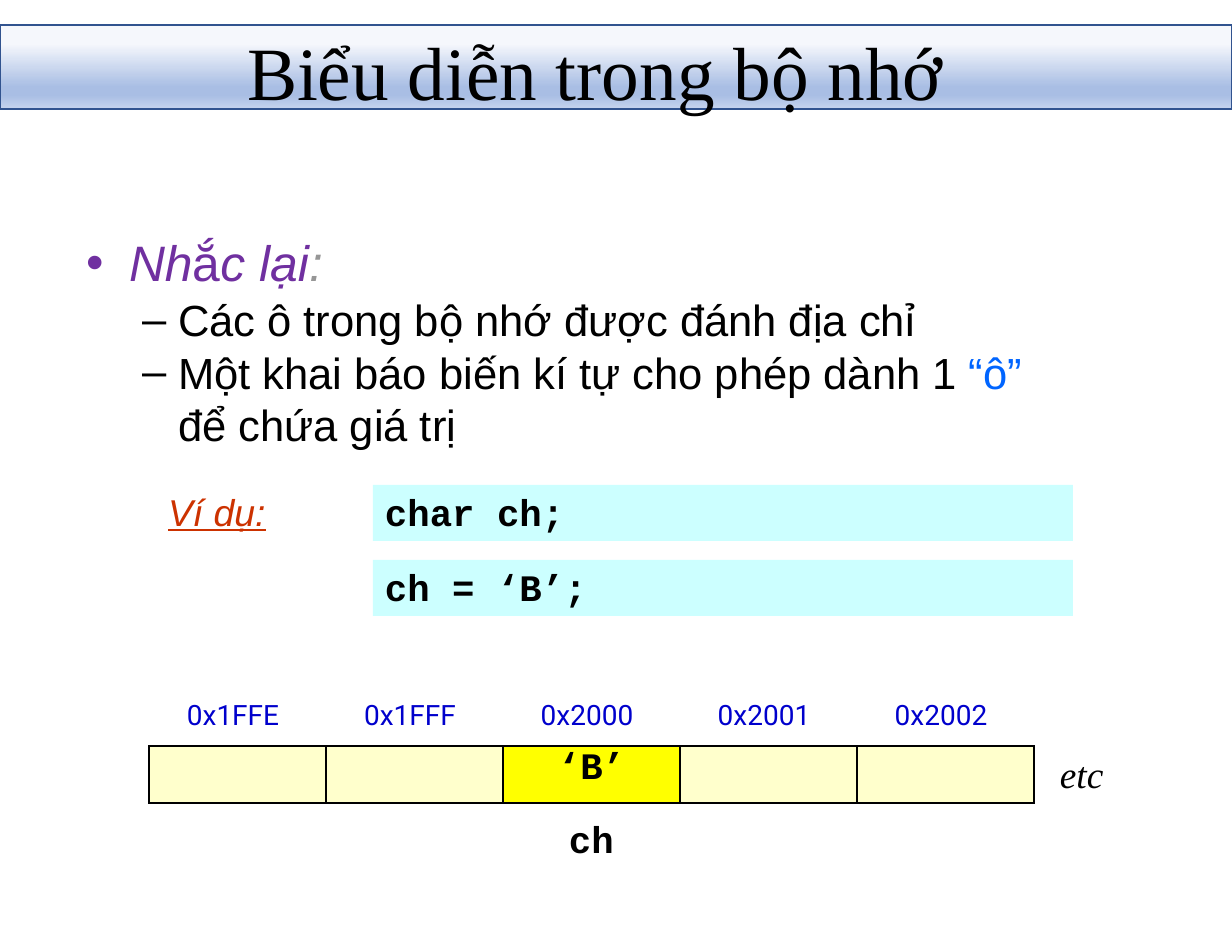
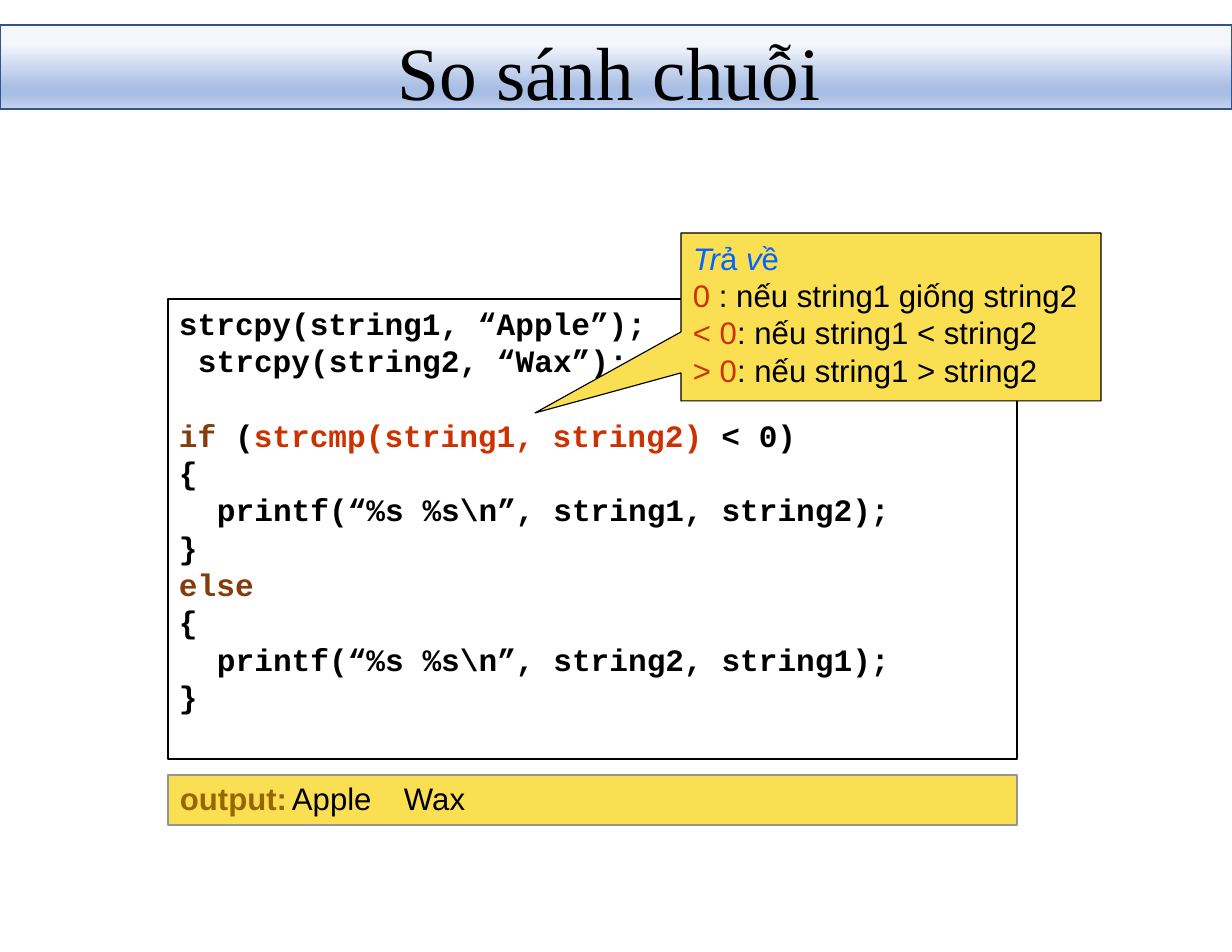
from lxml import etree
from pptx import Presentation
from pptx.dml.color import RGBColor
from pptx.enum.shapes import MSO_SHAPE
from pptx.enum.text import MSO_ANCHOR, PP_ALIGN
from pptx.oxml.ns import qn
from pptx.util import Emu, Pt

RECTANGLE = MSO_SHAPE.RECTANGLE
TOP, MIDDLE = MSO_ANCHOR.TOP, MSO_ANCHOR.MIDDLE
LEFT, CENTER = PP_ALIGN.LEFT, PP_ALIGN.CENTER

# Scale: 112 px to the inch
SCALE = 914400 / 112

# Colours
BLACK = RGBColor(0x00, 0x00, 0x00)
BAND_LINE = RGBColor(0x31, 0x53, 0x8F)
PURPLE = RGBColor(0x70, 0x30, 0xA0)
GREY = RGBColor(0x96, 0x96, 0x96)
BLUE = RGBColor(0x00, 0x65, 0xFF)
ADDRESS_BLUE = RGBColor(0x00, 0x00, 0xCC)
RED = RGBColor(0xCC, 0x32, 0x00)
BROWN = RGBColor(0x83, 0x3C, 0x0B)
OCHRE = RGBColor(0x99, 0x65, 0x00)
CYAN = RGBColor(0xCC, 0xFF, 0xFF)
CREAM = RGBColor(0xFF, 0xFF, 0xCC)
YELLOW = RGBColor(0xFF, 0xFF, 0x00)
GOLD = RGBColor(0xFB, 0xDF, 0x52)
GOLD_LINE = RGBColor(0x95, 0x95, 0x95)
BAND_STOPS = [(0, "F5F7FC"), (22, "F5F7FC"), (74, "A9BEE4"),
              (83, "A9BEE4"), (100, "C5D3ED")]

# Text formats
TITLE = {"name": "Times New Roman", "size": 48.4}
BODY = {"name": "Arial", "size": 28}
NOTE = {"name": "Arial", "size": 20}
CODE = {"name": "Courier New", "size": 24, "bold": True}
LISTING = {**CODE, "size": 20}
ADDRESS = {"name": "Roboto", "size": 18, "color": ADDRESS_BLUE}
LINE_FACTOR = 1.2


def px(length):
    return Emu(round(length * SCALE))


def line(*runs, **layout):
    """One paragraph: runs are strings or (text, format changes)."""
    return runs, layout


class Deck:
    def __init__(self, width, height):
        self.presentation = Presentation()
        self.presentation.slide_width = px(width)
        self.presentation.slide_height = px(height)
        self.width = width
        self.slide = None

    def new_slide(self, title, left, width):
        layout = self.presentation.slide_layouts[6]
        self.slide = self.presentation.slides.add_slide(layout)
        band = self.box(0, 25, self.width, 84, border=BAND_LINE)
        self.gradient(band)
        self.text([line(title)], TITLE, left, 27, width, 85, anchor=MIDDLE)

    def gradient(self, shape):
        shape.fill.gradient()
        gradient = shape.element.spPr.find(qn("a:gradFill"))
        stops = gradient.find(qn("a:gsLst"))
        for stop in list(stops):
            stops.remove(stop)
        for position, color in BAND_STOPS:
            stop = etree.SubElement(stops, qn("a:gs"), pos=str(position * 1000))
            etree.SubElement(stop, qn("a:srgbClr"), val=color)
        gradient.find(qn("a:lin")).set("ang", "5400000")

    def paint(self, shape, fill, border, weight):
        shape.shadow.inherit = False
        if fill is None:
            shape.fill.background()
        else:
            shape.fill.solid()
            shape.fill.fore_color.rgb = fill
        if border is None:
            shape.line.fill.background()
        else:
            shape.line.color.rgb = border
            shape.line.width = Pt(weight)
        return shape

    def box(self, left, top, width, height, fill=None, border=None, weight=1):
        shape = self.slide.shapes.add_shape(
            RECTANGLE, px(left), px(top), px(width), px(height))
        return self.paint(shape, fill, border, weight)

    def outline(self, points, fill, border, weight):
        builder = self.slide.shapes.build_freeform(*points[0], scale=SCALE)
        builder.add_line_segments(points[1:], close=True)
        return self.paint(builder.convert_to_shape(), fill, border, weight)

    def text(self, lines, style, left, top, width, height,
             wrap=False, anchor=TOP, align=LEFT):
        shape = self.slide.shapes.add_textbox(
            px(left), px(top), px(width), px(height))
        self.fill_frame(shape.text_frame, lines, style, 0, 1, wrap, anchor, align)

    def fill_frame(self, frame, lines, style, inset_left, inset_top,
                   wrap=False, anchor=TOP, align=LEFT):
        settings = {"margin_left": px(inset_left), "margin_top": px(inset_top),
                    "margin_right": 0, "margin_bottom": 0,
                    "word_wrap": wrap, "vertical_anchor": anchor}
        for name, value in settings.items():
            setattr(frame, name, value)
        self.fill_lines(frame, lines, style, align)

    def fill_lines(self, frame, lines, style, align):
        for index, (runs, layout) in enumerate(lines):
            paragraph = frame.add_paragraph() if index else frame.paragraphs[0]
            base = {**style, **layout.get("style", {})}
            paragraph.alignment = align
            paragraph.line_spacing = Pt(base["size"] * LINE_FACTOR)
            paragraph.space_before = Pt(layout.get("before", 0))
            self.indent(paragraph, layout)
            for run in runs:
                words, changes = (run, {}) if isinstance(run, str) else run
                self.add_run(paragraph, words, {**base, **changes})

    def indent(self, paragraph, layout):
        properties = paragraph._p.get_or_add_pPr()
        properties.set("marL", str(px(layout.get("margin", 0))))
        properties.set("indent", str(px(-layout.get("hang", 0))))
        if "bullet" in layout:
            color = etree.SubElement(properties, qn("a:buClr"))
            etree.SubElement(color, qn("a:srgbClr"), val=str(layout["color"]))
            etree.SubElement(properties, qn("a:buFont"), typeface="Arial")
            etree.SubElement(properties, qn("a:buChar"), char=layout["bullet"])

    def add_run(self, paragraph, words, style):
        run = paragraph.add_run()
        run.text = words
        values = {"color": BLACK, **style}
        run.font.color.rgb = values.pop("color")
        values["size"] = Pt(values["size"])
        for name, value in values.items():
            setattr(run.font, name, value)

    def cells(self, values, left, top, column, height):
        """One-row table; a cell with a value is highlighted."""
        frame = self.slide.shapes.add_table(
            1, len(values), px(left), px(top),
            px(column * len(values)), px(height))
        table = frame.table
        table.first_row = table.horz_banding = False
        table.rows[0].height = px(height)
        for index, value in enumerate(values):
            table.columns[index].width = px(column)
            cell = table.cell(0, index)
            cell.fill.solid()
            cell.fill.fore_color.rgb = YELLOW if value else CREAM
            self.borders(cell)
            if value:
                cell.margin_left = cell.margin_right = 0
                cell.margin_top = cell.margin_bottom = 0
                self.fill_lines(cell.text_frame, [line(value)], CODE, CENTER)

    def borders(self, cell):
        properties = cell._tc.get_or_add_tcPr()
        for index, side in enumerate(("a:lnL", "a:lnR", "a:lnT", "a:lnB")):
            border = etree.Element(qn(side), w=str(Pt(1)))
            fill = etree.SubElement(border, qn("a:solidFill"))
            etree.SubElement(fill, qn("a:srgbClr"), val=str(BLACK))
            properties.insert(index, border)


def memory_slide(deck):
    deck.new_slide("Biểu diễn trong bộ nhớ", 247, 700)

    # Reminder list
    italic = {"color": PURPLE, "italic": True}
    dash = {"bullet": "–", "color": BLACK, "margin": 93, "hang": 35}
    deck.text([
        line(("Nh", italic), ("ắ", {"color": PURPLE}), ("c lại", italic),
             (":", {"color": GREY, "italic": True}),
             style={"size": 32}, bullet="•", color=PURPLE, margin=44, hang=43),
        line("Các ô trong bộ nhớ được đánh địa chỉ", before=1, **dash),
        line("Một khai báo biến kí tự cho phép dành 1 ",
             ("“ô” ", {"color": BLUE}), "để chứa giá trị", **dash),
    ], BODY, 85, 231, 951, 221, wrap=True)

    # Example code
    example = {**BODY, "size": 24, "color": RED, "italic": True, "underline": True}
    deck.text([line("Ví dụ:")], example, 168, 488, 101, 48)
    for index, code in enumerate(("char ch;", "ch = ‘B’;")):
        bar = deck.box(373, 485 + 75 * index, 700, 56, fill=CYAN)
        deck.fill_frame(bar.text_frame, [line(code)], CODE, 12, 4)

    # Memory cells with their addresses
    column = 177
    deck.cells(["", "", "‘B’", "", ""], 149, 746, column, 57)
    for index in range(5):
        address = f"0x{0x1FFE + index:X}"
        deck.text([line(address)], ADDRESS, 181 + column * index, 696, 104, 37,
                  wrap=True, align=CENTER)
    deck.text([line("ch")], CODE, 569, 815, 48, 48)
    etc = {"name": "Times New Roman", "size": 24, "italic": True}
    deck.text([line("etc")], etc, 1060, 750, 47, 48)


def comparison_slide(deck):
    deck.new_slide("So sánh chuỗi", 398, 438)

    # Code listing
    deck.box(168, 299, 849, 460, border=BLACK)
    deck.text([line("strcpy(string1, “Apple”);"),
               line("strcpy(string2, “Wax”);", margin=19)],
              LISTING, 179, 303, 470, 78)
    keyword = {"color": BROWN}
    deck.text([
        line(("if", keyword), " (",
             ("strcmp(string1, string2) ", {"color": RED}), "< 0)"),
        line("{"),
        line("printf(“%s %s\\n”, string1, string2);", margin=38),
        line("}"),
        line(("else", keyword)),
        line("{"),
        line("printf(“%s %s\\n”, string2, string1);", margin=38),
        line("}"),
    ], LISTING, 179, 415, 712, 302)

    # Output bar
    bar = deck.box(168, 775, 849, 50, fill=GOLD, border=GOLD_LINE)
    label = {"color": OCHRE, "bold": True}
    deck.fill_frame(bar.text_frame, [line(("output:\t", label), "Apple\tWax")],
                    NOTE, 12, 4)

    # Callout with the return values
    deck.outline([(681, 233), (681, 332), (535, 413), (681, 373),
                  (681, 401), (1101, 401), (1101, 233)], GOLD, BLACK, 0.75)
    upright = {"color": BLUE}
    slanted = {"color": BLUE, "italic": True}
    red = {"color": RED}
    deck.text([
        line(("Tr", slanted), ("ả ", upright), ("v", slanted), ("ề", upright)),
        line(("0 ", red), ": nếu string1 giống string2"),
        line(("< 0", red), ": nếu string1 < string2"),
        line(("> 0", red), ": nếu string1 > string2"),
    ], NOTE, 693, 238, 386, 152)


def main():
    deck = Deck(1232, 952)
    memory_slide(deck)
    comparison_slide(deck)
    deck.presentation.save("out.pptx")


if __name__ == "__main__":
    main()
